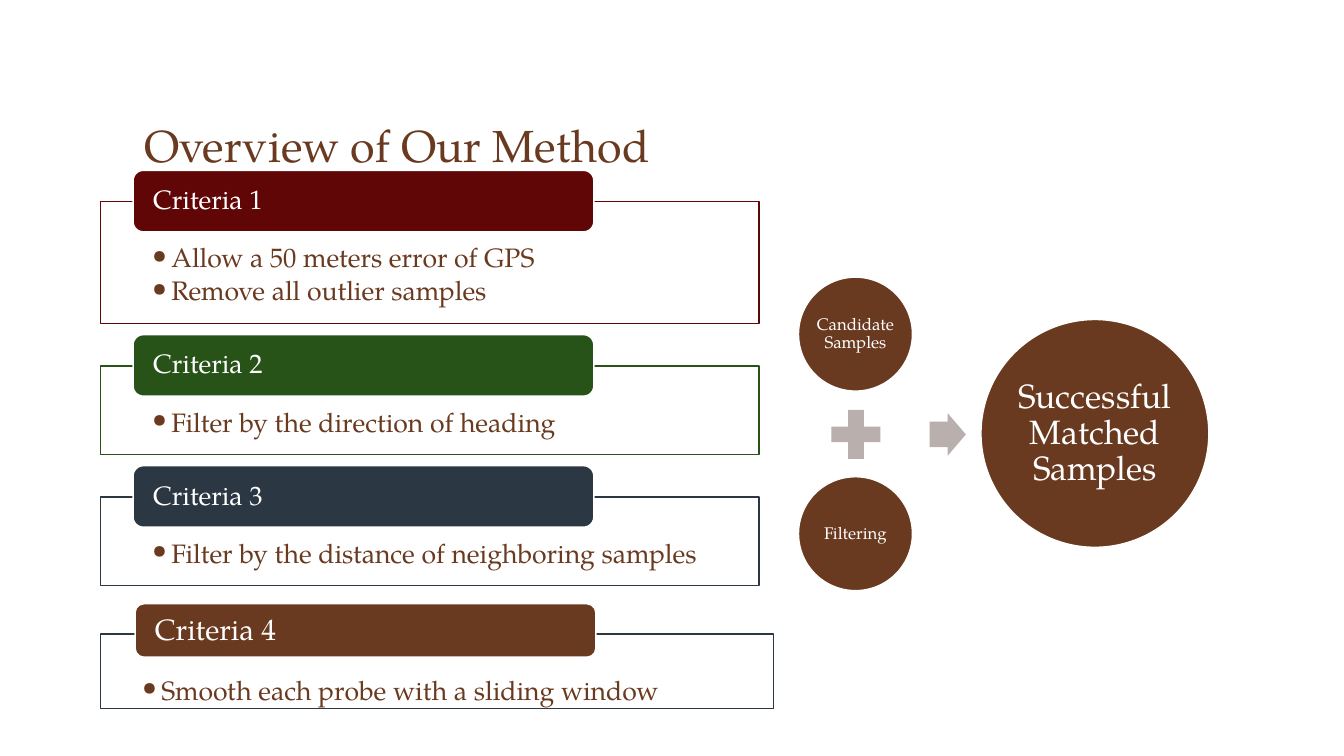
from dataclasses import dataclass

from lxml import etree
from pptx import Presentation
from pptx.dml.color import RGBColor
from pptx.enum import shapes, text
from pptx.oxml import ns
from pptx.util import Inches, Pt

FONT = "TeX Gyre Pagella"
BROWN = RGBColor(0x6A, 0x3A, 0x20)
RED = RGBColor(0x61, 0x06, 0x06)
GREEN = RGBColor(0x27, 0x52, 0x18)
SLATE = RGBColor(0x2B, 0x37, 0x42)
GREY = RGBColor(0xB9, 0xAF, 0xAC)
WHITE = RGBColor(0xFF, 0xFF, 0xFF)
KIND = shapes.MSO_SHAPE
ALIGN = text.PP_ALIGN
ANCHOR = text.MSO_ANCHOR


@dataclass(frozen=True)
class Box:
    left: float
    top: float
    width: float
    height: float


@dataclass(frozen=True)
class Rule:
    label: str
    lines: tuple
    panel: Box
    tab: Box
    edge: RGBColor
    fill: RGBColor
    inset: float = 0.51
    size: int = 19


@dataclass(frozen=True)
class Disc:
    label: str
    left: float
    top: float
    side: float
    size: int


RULES = (
    Rule("Criteria 1", ("Allow a 50 meters error of GPS", "Remove all outlier samples"),
         Box(1, 2, 6.53, 1.21), Box(1.32, 1.69, 4.57, 0.61), RED, RED),
    Rule("Criteria 2", ("Filter by the direction of heading",),
         Box(1, 3.63, 6.53, 0.88), Box(1.32, 3.32, 4.57, 0.61), GREEN, GREEN),
    Rule("Criteria 3", ("Filter by the distance of neighboring samples",),
         Box(1, 4.93, 6.53, 0.88), Box(1.32, 4.62, 4.57, 0.61), SLATE, SLATE),
    Rule("Criteria 4", ("Smooth each probe with a sliding window",),
         Box(1, 6.29, 6.67, 0.74), Box(1.34, 5.99, 4.57, 0.53), SLATE, BROWN, 0.41, 21),
)
DISCS = (
    Disc("Candidate Samples", 7.92, 2.75, 1.13, 12),
    Disc("Filtering", 7.92, 4.73, 1.13, 12),
    Disc("Successful Matched Samples", 9.73, 3.17, 2.26, 24),
)


def draw(slide, kind, box: Box, fill: RGBColor, edge: RGBColor | None = None):
    shape = slide.shapes.add_shape(kind, Inches(box.left), Inches(box.top),
                                   Inches(box.width), Inches(box.height))
    shape.shadow.inherit = False
    shape.fill.solid()
    shape.fill.fore_color.rgb = fill
    if edge is None:
        shape.line.fill.background()
    else:
        shape.line.color.rgb = edge
        shape.line.width = Pt(1)
    return shape


def frame(shape, anchor, left: float, top: float, right: float, base: float):
    body = shape.text_frame
    body.word_wrap = True
    body.vertical_anchor = anchor
    body.margin_left, body.margin_top = Inches(left), Inches(top)
    body.margin_right, body.margin_bottom = Inches(right), Inches(base)
    return body


def write(para, words: str, size: int, color: RGBColor, align=ALIGN.LEFT) -> None:
    para.alignment = align
    para.line_spacing = 0.9
    run = para.add_run()
    run.text = words
    run.font.name = FONT
    run.font.size = Pt(size)
    run.font.color.rgb = color


def bullet(para) -> None:
    para.space_after = Pt(3)
    props = para._p.get_or_add_pPr()
    props.set("marL", str(Inches(0.19)))
    props.set("indent", str(Inches(-0.19)))
    etree.SubElement(props, ns.qn("a:buFont")).set("typeface", FONT)
    etree.SubElement(props, ns.qn("a:buChar")).set("char", "•")


def fade(shape, share: int) -> None:
    tint = shape._element.spPr.find(ns.qn("a:solidFill"))[0]
    etree.SubElement(tint, ns.qn("a:alpha")).set("val", str(share * 1000))


def add_rule(slide, rule: Rule) -> None:
    panel = draw(slide, KIND.RECTANGLE, rule.panel, WHITE, rule.edge)
    fade(panel, 90)
    body = frame(panel, ANCHOR.TOP, rule.inset, 0.43, rule.inset, 0.15)
    for i, line in enumerate(rule.lines):
        para = body.add_paragraph() if i else body.paragraphs[0]
        write(para, line, 19, BROWN)
        bullet(para)
    tab = draw(slide, KIND.ROUNDED_RECTANGLE, rule.tab, rule.fill, WHITE)
    body = frame(tab, ANCHOR.MIDDLE, 0.17, 0, 0.17, 0)
    write(body.paragraphs[0], rule.label, rule.size, WHITE)


def add_disc(slide, disc: Disc) -> None:
    box = Box(disc.left, disc.top, disc.side, disc.side)
    shape = draw(slide, KIND.OVAL, box, BROWN, WHITE)
    body = frame(shape, ANCHOR.MIDDLE, 0, 0, 0, 0)
    write(body.paragraphs[0], disc.label, disc.size, WHITE, ALIGN.CENTER)


def add_title(slide) -> None:
    title = slide.shapes.title
    title.left, title.top = Inches(1.33), Inches(0.47)
    title.width, title.height = Inches(10.66), Inches(1.28)
    body = frame(title, ANCHOR.BOTTOM, 0.1, 0.05, 0.1, 0.04)
    body.auto_size = text.MSO_AUTO_SIZE.NONE
    write(body.paragraphs[0], "Overview of Our Method", 32, BROWN)


def main() -> None:
    deck = Presentation()
    deck.slide_width, deck.slide_height = Inches(13.33), Inches(7.5)
    slide = deck.slides.add_slide(deck.slide_layouts[5])
    add_title(slide)
    for disc in DISCS:
        add_disc(slide, disc)
    draw(slide, KIND.MATH_PLUS, Box(8.16, 3.98, 0.66, 0.66), GREY)
    arrow = draw(slide, KIND.RIGHT_ARROW, Box(9.22, 4.1, 0.36, 0.42), GREY)
    arrow.adjustments[0] = 0.6
    arrow.adjustments[1] = 0.5
    for rule in RULES:
        add_rule(slide, rule)
    deck.save("out.pptx")


if __name__ == "__main__":
    main()
